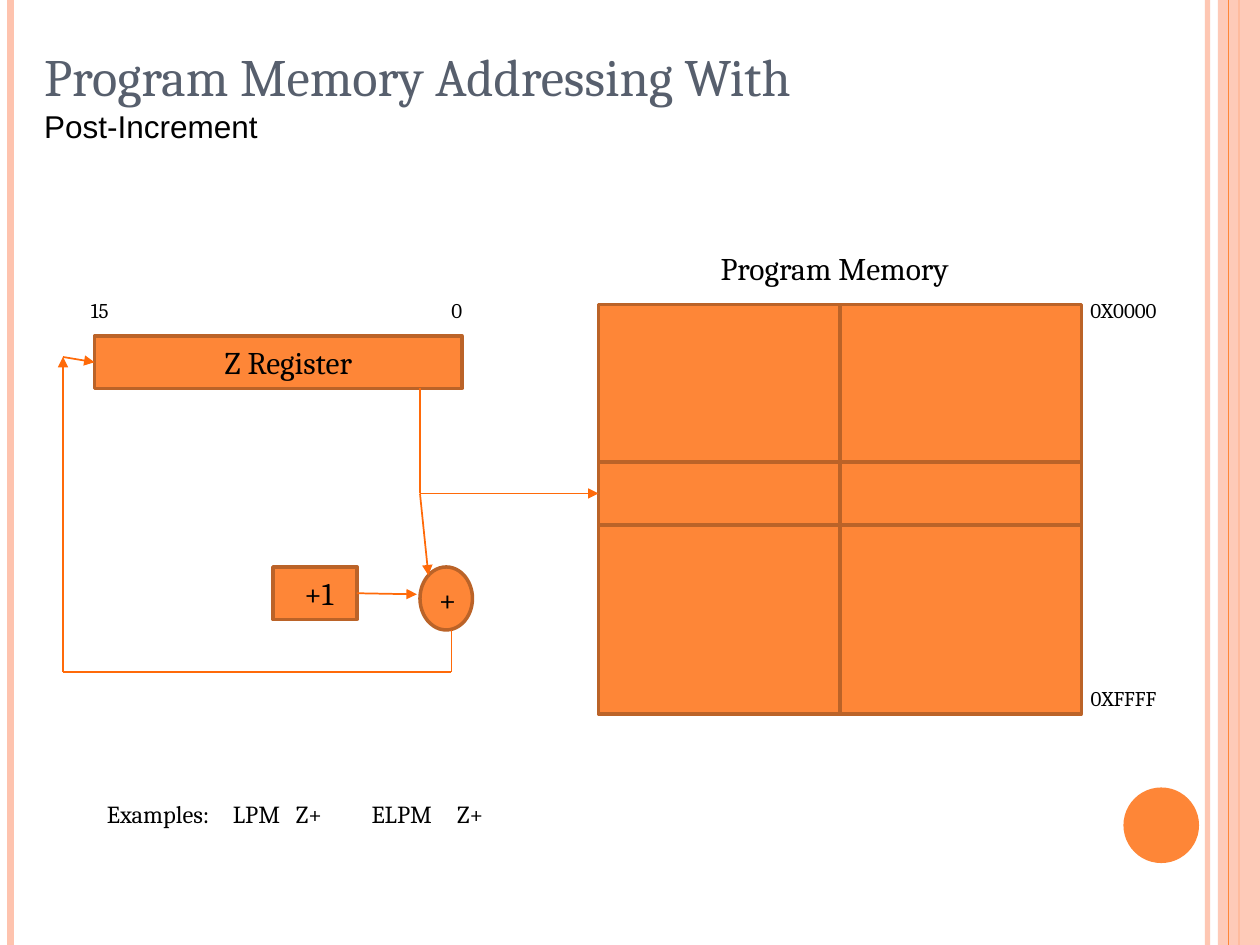
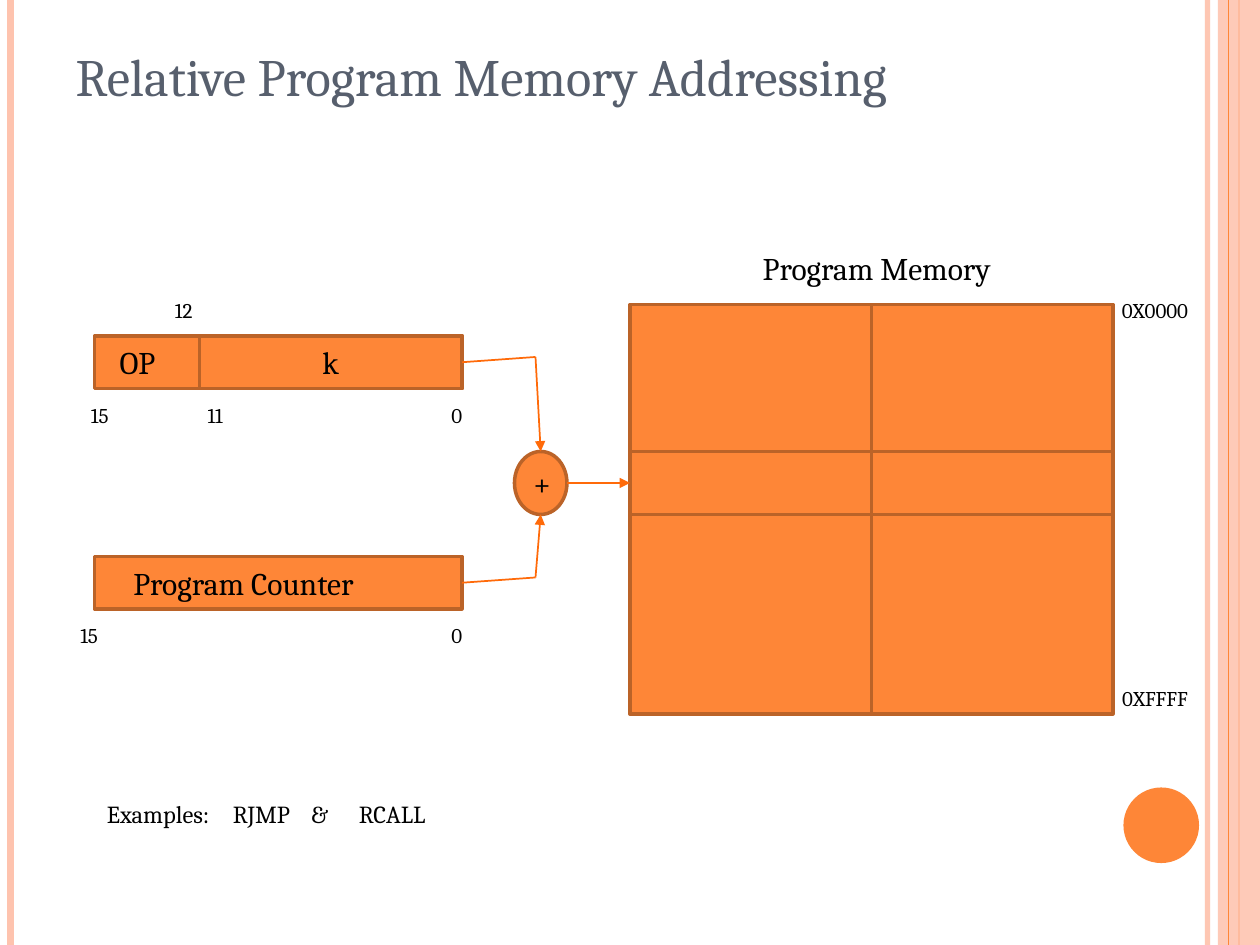
from pptx import Presentation
from pptx.dml.color import RGBColor
from pptx.enum.shapes import MSO_CONNECTOR, MSO_SHAPE
from pptx.enum.text import MSO_ANCHOR, MSO_AUTO_SIZE, PP_ALIGN
from pptx.oxml.ns import qn
from pptx.util import Inches, Pt
from lxml.etree import SubElement

ORANGE, BROWN, ARROW, PEACH = "FE8637", "BB6328", "FF6A09", "FEC3AE"
SLATE, BLACK = "575F6D", "000000"
SERIF, SANS = "Cambria", "Arial"
COLS, ROWS = 120, 90      # grid cells on the slide, twelve to the inch
INSET = 0.1               # side margin of text, in inches
BAR_H = 5                 # height of registers and labels, in rows
BANK_W, BANK_H = 23, 39   # one memory bank
WORD_H = 6                # height of the addressed word and of the adder


def u(cells):
    return Inches(cells / 12)


def box_of(x, y, w, h):
    return u(x), u(y), u(w), u(h)


def rgb(value):
    return RGBColor.from_string(value)


def set_alpha(fill_parent, percent):
    clr = fill_parent.find(qn("a:solidFill"))[0]
    SubElement(clr, qn("a:alpha")).set("val", str(percent * 1000))


def format_text(tf, paragraphs, align=PP_ALIGN.CENTER, indent=0.0, anchor=MSO_ANCHOR.MIDDLE,
                wrap=True, tabs=()):
    """Write (text, size, font, colour) tuples, one paragraph each."""
    frame = dict(margin_left=Inches(INSET + indent), margin_right=Inches(INSET),
                 margin_top=Inches(0.05), margin_bottom=Inches(0.05),
                 auto_size=MSO_AUTO_SIZE.NONE, vertical_anchor=anchor, word_wrap=wrap)
    for name, value in frame.items():
        setattr(tf, name, value)
    for i, (text, size, font, color) in enumerate(paragraphs):
        p = tf.add_paragraph() if i else tf.paragraphs[0]
        p.alignment = align
        if tabs:
            tab_list = SubElement(p._p.get_or_add_pPr(), qn("a:tabLst"))
            for pos in tabs:
                tab = SubElement(tab_list, qn("a:tab"))
                tab.set("pos", str(Inches(pos)))
                tab.set("algn", "l")
        r = p.add_run()
        r.text = text
        for name, value in dict(size=Pt(size), name=font).items():
            setattr(r.font, name, value)
        r.font.color.rgb = rgb(color)


def add_label(slide, text, x, y, w=BAR_H, h=BAR_H, size=12, **layout):
    sp = slide.shapes.add_textbox(*box_of(x, y, w, h))
    format_text(sp.text_frame, [(text, size, SERIF, BLACK)], **layout)


def add_block(slide, x, y, w, h, text="", kind=MSO_SHAPE.RECTANGLE, fill=ORANGE, line=BROWN,
              **layout):
    sp = slide.shapes.add_shape(kind, *box_of(x, y, w, h))
    sp.shadow.inherit = False
    sp.fill.solid()
    sp.fill.fore_color.rgb = rgb(fill)
    if line:
        sp.line.color.rgb = rgb(line)
        sp.line.width = Pt(2)
    else:
        sp.line.fill.background()
    if text:
        format_text(sp.text_frame, [(text, 18, SERIF, BLACK)], **layout)
    return sp


def add_line(slide, start, end, color=ARROW, width=1, arrow=False):
    c = slide.shapes.add_connector(MSO_CONNECTOR.STRAIGHT, *map(u, start + end))
    c.line.color.rgb = rgb(color)
    c.line.width = Pt(width)
    spPr = c.element.spPr
    if arrow:
        SubElement(spPr.find(qn("a:ln")), qn("a:tailEnd")).set("type", "triangle")
    SubElement(spPr, qn("a:effectLst"))
    return c


def add_route(slide, *points, arrow=True):
    """Join the points with lines; the last one carries the arrowhead."""
    legs = list(zip(points, points[1:]))
    for i, (start, end) in enumerate(legs, 1):
        add_line(slide, start, end, arrow=arrow and i == len(legs))


def add_adder(slide, x, y):
    add_block(slide, x, y, 5, WORD_H, "+", MSO_SHAPE.OVAL, wrap=False, indent=0.02)


def add_register(slide, y, text, x=9, w=35, **layout):
    add_block(slide, x, y, w, BAR_H, text, **layout)


def add_memory(slide, x, word_y, heading_x):
    for bank_x in (x, x + BANK_W):
        add_block(slide, bank_x, 29, BANK_W, BANK_H)
        add_block(slide, bank_x, word_y, BANK_W, WORD_H)
    add_label(slide, "Program Memory", heading_x, 23, 29, size=18)
    add_label(slide, "0X0000", x + 45, 27, 10)
    add_label(slide, "0XFFFF", x + 43, 64, 14)


def add_examples(slide, text, tabs):
    add_label(slide, text, 9, 71, 86, 13, size=14, align=PP_ALIGN.LEFT, tabs=tabs)


def add_titled_slide(prs, x, w, title, subtitle=None):
    slide = prs.slides.add_slide(prs.slide_layouts[5])
    sp = slide.shapes.title
    sp.left, sp.top, sp.width, sp.height = box_of(x, 3.6, w, 15)
    paragraphs = [(title, 30, SERIF, SLATE)]
    if subtitle:
        paragraphs.append((subtitle, 18, SANS, BLACK))
    format_text(sp.text_frame, paragraphs, align=PP_ALIGN.LEFT, anchor=MSO_ANCHOR.TOP)
    return slide


def add_master_bands(prs, slide):
    """Build the side bands, then move them to the slide master."""
    def stripe(x, color, width):
        return add_line(slide, (x, 0), (x, ROWS), color, width)

    edge = stripe(115, PEACH, 3)
    set_alpha(edge.element.spPr.find(qn("a:ln")), 93)
    left, inner = stripe(1, PEACH, 4.5), stripe(118, ORANGE, 1.5)
    band = add_block(slide, 116, 0, 4, ROWS, fill=PEACH, line=None)
    set_alpha(band.element.spPr, 87)
    thin = stripe(117, ORANGE, 0.75)
    disc = add_block(slide, 107, 75, 7.2, 7.2, kind=MSO_SHAPE.OVAL, line=None)
    for s in (edge, left, inner, band, thin, disc):
        prs.slide_master.shapes.element.append(s.element)


def post_increment(prs):
    slide = add_titled_slide(prs, 3, 112, "Program Memory Addressing With", "Post-Increment")
    add_master_bands(prs, slide)
    # Register and memory
    add_register(slide, 32, "Z Register", indent=0.16)
    add_label(slide, "15", 7, 27)
    add_label(slide, "0", 41, 27)
    add_memory(slide, 57, 44, heading_x=65)
    # Increment loop
    add_block(slide, 26, 54, 8, BAR_H, "+1", indent=0.06)
    add_adder(slide, 40, 54)
    add_route(slide, (40, 37), (40, 47), (57, 47))
    add_route(slide, (40, 47), (40.8, 54.8))
    add_route(slide, (34, 56.5), (39.7, 56.6))
    add_route(slide, (43, 60), (43, 64), (6, 64), (6, 34))
    add_route(slide, (6, 34), (9, 34.5))
    add_examples(slide, "Examples:\tLPM\tZ+\tELPM\tZ+", (1, 1.5, 2.1, 2.78))


def relative_addressing(prs):
    slide = add_titled_slide(prs, 6, 103, "Relative Program Memory Addressing")
    # Instruction word and program counter
    add_register(slide, 32, "OP", align=PP_ALIGN.LEFT, indent=0.1)
    add_register(slide, 32, "k", x=19, w=25)
    add_register(slide, 53, "Program Counter", align=PP_ALIGN.LEFT, indent=0.21)
    for text, x, y in (("12", 15, 27), ("15", 7, 37), ("11", 18, 37), ("0", 41, 37),
                       ("15", 6, 58), ("0", 41, 58)):
        add_label(slide, text, x, y)
    # Sum that addresses the memory
    add_memory(slide, 60, 43, heading_x=69)
    add_adder(slide, 49, 43)
    add_route(slide, (44, 34.5), (51, 34), (51.5, 43))
    add_route(slide, (44, 55.5), (51, 55), (51.5, 49))
    add_route(slide, (54, 46), (60, 46))
    add_examples(slide, "Examples:\tRJMP\t&\tRCALL", (1, 1.62, 2))


def main():
    prs = Presentation()
    prs.slide_width, prs.slide_height = u(COLS), u(ROWS)
    post_increment(prs)
    relative_addressing(prs)
    prs.save("out.pptx")


if __name__ == "__main__":
    main()
